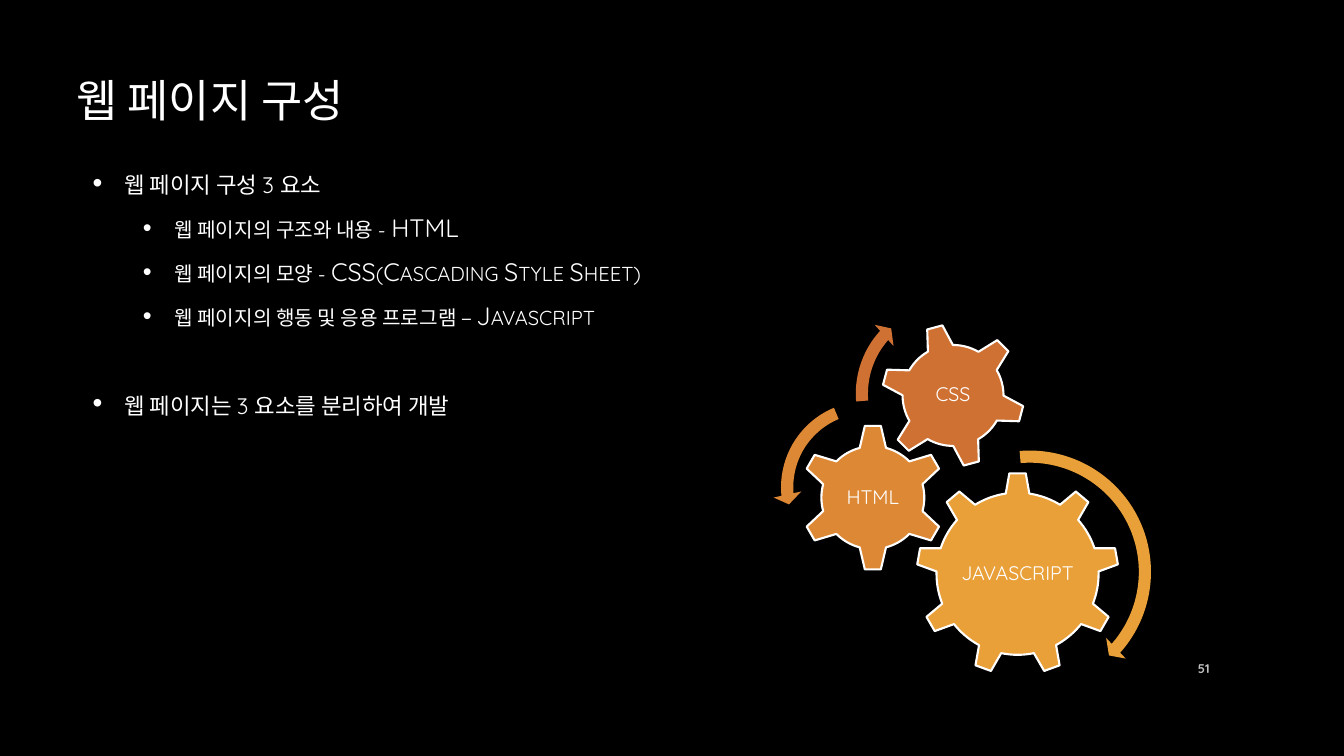
from dataclasses import dataclass

from lxml import etree
from pptx import Presentation
from pptx.dml.color import RGBColor
from pptx.enum import shapes, text
from pptx.oxml import ns
from pptx.util import Pt

MSO = shapes.MSO_SHAPE
ALIGN = text.PP_ALIGN
ANCHOR = text.MSO_ANCHOR


@dataclass(frozen=True)
class Theme:
    font: str = "Quicksand"
    back: str = "000000"
    ink: str = "FFFFFF"
    muted: str = "BFBFBF"
    script: str = "E9A039"
    html: str = "DD8835"
    css: str = "CF7133"
    title: float = 32
    item: float = 20
    subitem: float = 18
    label: float = 14
    number: float = 9


@dataclass(frozen=True)
class Bullet:
    words: str
    size: float
    margin: float
    before: float


@dataclass(frozen=True)
class Gear:
    label: str
    kind: MSO
    left: float
    top: float
    size: float
    color: str
    turn: float = 0


@dataclass(frozen=True)
class Arrow:
    kind: MSO
    left: float
    top: float
    size: float
    color: str
    percents: tuple[float, ...]


T = Theme()
HANG = 22.5
LABEL_SHARE = 0.6

BULLETS = [
    Bullet("웹 페이지 구성 3 요소", T.item, 22.5, 0),
    Bullet("웹 페이지의 구조와 내용 - HTML", T.subitem, 58.5, 3.6),
    Bullet("웹 페이지의 모양 - CSS(Cascading Style Sheet)", T.subitem, 58.5, 3.6),
    Bullet("웹 페이지의 행동 및 응용 프로그램 – Javascript", T.subitem, 58.5, 3.6),
    Bullet("웹 페이지는 3 요소를 분리하여 개발", T.item, 22.5, 34),
]
GEARS = [
    Gear("JAVASCRIPT", MSO.GEAR_9, 654.5, 337.5, 144.7, T.script),
    Gear("HTML", MSO.GEAR_6, 571, 303, 105, T.html),
    Gear("CSS", MSO.GEAR_6, 629.3, 231, 103, T.css, 345),
]
ARROWS = [
    Arrow(MSO.CIRCULAR_ARROW, 643, 316, 185, T.script,
          (4.7, 299, 2491.5, 15915.4, 5.5)),
    Arrow(MSO.LEFT_CIRCULAR_ARROW, 552.2, 280.8, 134.6, T.html,
          (6.5, 430, 10489.1, 14837.8, 7.5)),
    Arrow(MSO.CIRCULAR_ARROW, 605.5, 208.8, 144.7, T.css,
          (6, 394.1, 13313.8, 10508.2, 7)),
]


def rgb(color: str) -> RGBColor:
    return RGBColor.from_string(color)


def add_box(s, left: float, top: float, width: float, height: float,
            anchor: ANCHOR = ANCHOR.MIDDLE):
    tf = s.shapes.add_textbox(Pt(left), Pt(top), Pt(width), Pt(height)).text_frame
    tf.word_wrap = True
    tf.vertical_anchor = anchor
    return tf


def write(p, words: str, *, size: float, color: str = T.ink, bold: bool = False,
          align: ALIGN = ALIGN.LEFT, small_caps: bool = False) -> None:
    p.alignment = align
    r = p.add_run()
    r.text = words
    r.font.name = T.font
    r.font.size = Pt(size)
    r.font.bold = bold
    r.font.color.rgb = rgb(color)
    if small_caps:
        r.font._element.set("cap", "small")


def add_bullet(p, margin: float) -> None:
    pPr = p._p.get_or_add_pPr()
    pPr.set("marL", str(Pt(margin)))
    pPr.set("indent", str(-Pt(HANG)))
    clr = etree.SubElement(pPr, ns.qn("a:buClr"))
    etree.SubElement(clr, ns.qn("a:srgbClr"), val=T.ink)
    etree.SubElement(pPr, ns.qn("a:buFont"), typeface="Arial")
    etree.SubElement(pPr, ns.qn("a:buChar"), char="•")


def add_bullets(s, bullets: list[Bullet]) -> None:
    tf = add_box(s, 59, 104.4, 780, 246, ANCHOR.TOP)
    tf.margin_top = Pt(14)
    for i, b in enumerate(bullets):
        p = tf.paragraphs[0] if i == 0 else tf.add_paragraph()
        add_bullet(p, b.margin)
        p.space_before = Pt(b.before)
        p.space_after = Pt(6)
        write(p, b.words, size=b.size, small_caps=True)


def add_solid(s, item: Gear | Arrow):
    sp = s.shapes.add_shape(item.kind, Pt(item.left), Pt(item.top),
                            Pt(item.size), Pt(item.size))
    sp.shadow.inherit = False
    sp.fill.solid()
    sp.fill.fore_color.rgb = rgb(item.color)
    return sp


def add_gear(s, gear: Gear) -> None:
    sp = add_solid(s, gear)
    sp.rotation = gear.turn
    sp.line.color.rgb = rgb(T.ink)
    sp.line.width = Pt(1.5)
    side = gear.size * LABEL_SHARE
    inset = (gear.size - side) / 2
    tf = add_box(s, gear.left + inset, gear.top + inset, side, side)
    tf.margin_left = tf.margin_right = tf.margin_top = tf.margin_bottom = Pt(1.44)
    p = tf.paragraphs[0]
    p.line_spacing = 0.9
    write(p, gear.label, size=T.label, align=ALIGN.CENTER)


def add_arrow(s, arrow: Arrow) -> None:
    sp = add_solid(s, arrow)
    sp.line.fill.background()
    for i, percent in enumerate(arrow.percents):
        sp.adjustments[i] = percent / 100


def main() -> None:
    prs = Presentation()
    prs.slide_width, prs.slide_height = Pt(960), Pt(540)
    s = prs.slides.add_slide(prs.slide_layouts[6])
    s.background.fill.solid()
    s.background.fill.fore_color.rgb = rgb(T.back)

    title = add_box(s, 47.5, 42.5, 780, 57)
    write(title.paragraphs[0], "웹 페이지 구성", size=T.title)
    add_bullets(s, BULLETS)
    number = add_box(s, 828, 463, 43.2, 28.8)
    write(number.paragraphs[0], "51", size=T.number, color=T.muted, bold=True,
          align=ALIGN.RIGHT)
    for gear in GEARS:
        add_gear(s, gear)
    for arrow in ARROWS:
        add_arrow(s, arrow)

    prs.save("out.pptx")


if __name__ == "__main__":
    main()
